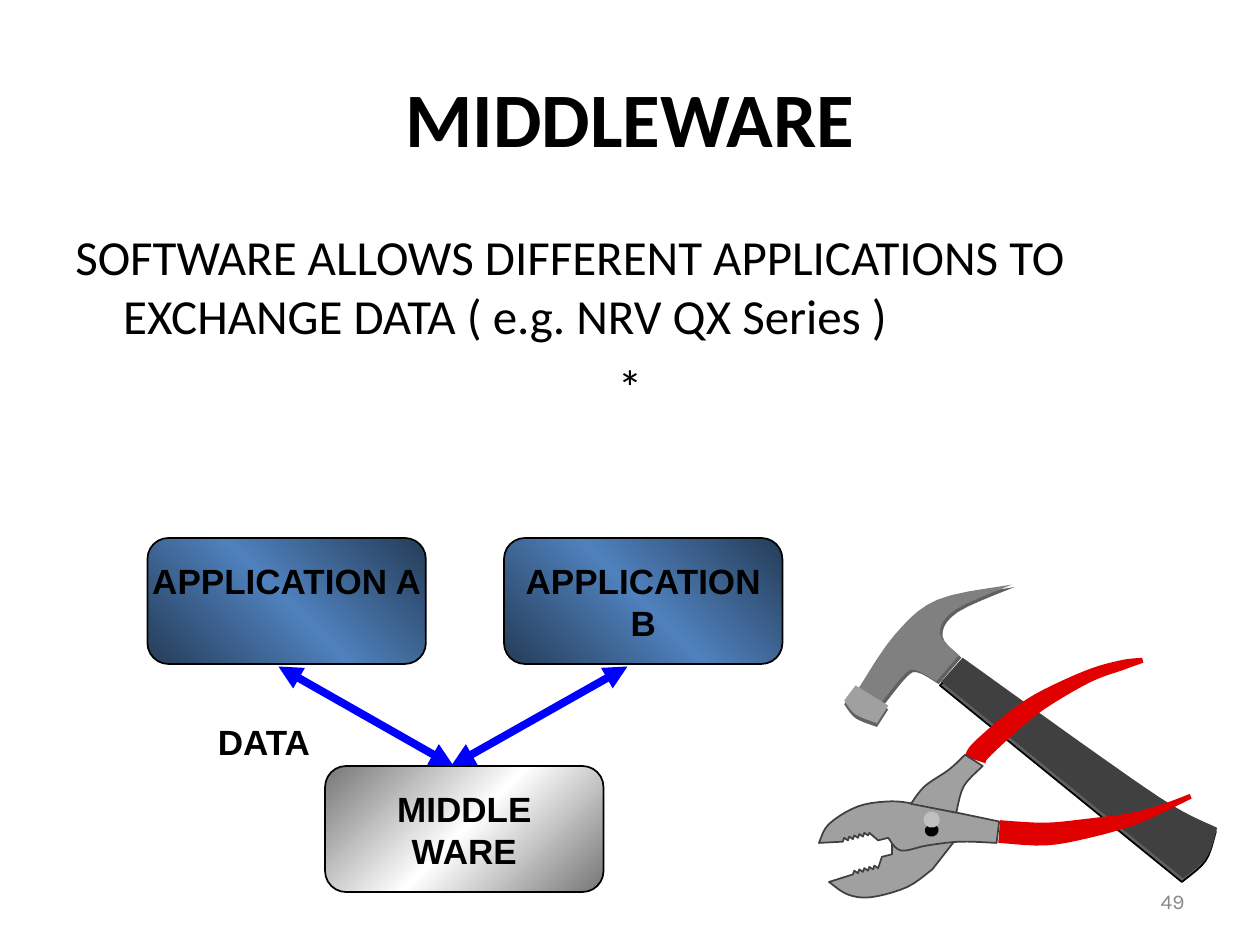
from itertools import chain
from math import hypot

from lxml.etree import SubElement
from pptx import Presentation
from pptx.dml.color import RGBColor
from pptx.enum.shapes import MSO_CONNECTOR, MSO_SHAPE
from pptx.enum.text import MSO_ANCHOR, PP_ALIGN
from pptx.oxml import parse_xml
from pptx.oxml.ns import nsdecls, qn
from pptx.util import Inches, Pt

COLORS = {
    "black": "000000", "navy": "253C57", "blue": "4F81BD", "arrow": "0000FF",
    "gray": "767676", "white": "FFFFFF", "number": "898989", "shade": "606060",
    "dark": "404040", "steel": "808080", "light": "A0A0A0", "glint": "C0C0C0",
    "grip": "E00000",
}

# Content
TITLE = "MIDDLEWARE"
BODY = [
    ("SOFTWARE ALLOWS DIFFERENT APPLICATIONS TO EXCHANGE DATA ( e.g. NRV QX Series )",
     PP_ALIGN.LEFT),
    ("*", PP_ALIGN.CENTER),
]
PAGE_NUMBER = "49"
BOX_SIZE = (2.21, 1)
# label, left, top, label width, edge colour, middle colour, gradient angle
BOXES = [
    ("APPLICATION A", 1.17, 4.27, 2.35, "navy", "blue", 315),
    ("APPLICATION B", 4, 4.27, 2.33, "navy", "blue", 315),
    ("MIDDLE WARE", 2.58, 6.08, 1.88, "gray", "white", 45),
]
ARROWS = [((2.21, 5.29), (3.6, 6.08)), ((4.98, 5.29), (3.58, 6.08))]


# Outline rules: an outline is a list of sides, joined by straight lines.
# Each side is a smooth curve through its points; a single point is a corner.
def curve(points, steps=5):
    """Catmull-Rom curve through points with any number of coordinates."""
    if len(points) == 1:
        return list(points)
    padded = [points[0], *points, points[-1]]
    smooth = []
    for quad in zip(padded, padded[1:], padded[2:], padded[3:]):
        for t in (step / steps for step in range(steps)):
            smooth.append(tuple(
                b + t * (c - a) / 2 + t**2 * (2 * a - 5 * b + 4 * c - d) / 2
                + t**3 * (3 * b - a - 3 * c + d) / 2 for a, b, c, d in zip(*quad)))
    return smooth + [points[-1]]


def teeth(x, y, count=6):
    """Saw edge: each tooth tip is followed by a notch."""
    tips = [(x - 0.04 * i, y + 0.01 * i) for i in range(count)]
    notches = [(tip_x - 0.03, tip_y - 0.02) for tip_x, tip_y in tips[:-1]]
    points = chain.from_iterable(zip(tips, notches))
    return [[point] for point in (*points, tips[-1])]


def tapered(spine):
    """Band around a curved spine of (x, y, width) points."""
    smooth = curve(spine)
    left, right = [], []
    for before, (x, y, width), after in zip(
            [smooth[0], *smooth], smooth, [*smooth[1:], smooth[-1]]):
        dx, dy = after[0] - before[0], after[1] - before[1]
        reach = width / 2 / hypot(dx, dy)
        left.append((x + dy * reach, y - dx * reach))
        right.append((x - dy * reach, y + dx * reach))
    return [[point] for point in left + right[::-1]]


# Hammer and pliers
HAMMER = {
    "handle": [[(7.47, 5.41)],
               [(7.64, 5.22), (8.7, 5.98), (9.3, 6.39), (9.66, 6.57)],
               [(9.66, 6.57), (9.58, 6.8), (9.39, 6.97)]],
    "claw": [[(6.81, 5.47)],
             [(7, 5.57), (7.18, 5.35), (7.27, 5.32), (7.43, 5.41)],
             [(7.61, 5.2), (7.46, 5.03), (7.58, 4.84), (8.03, 4.64)],
             [(8.03, 4.64), (7.44, 4.76), (7.1, 5.04), (6.81, 5.47)]],
    "face": [[(6.79, 5.44)], [(7.05, 5.6)],
             [(6.96, 5.74), (6.79, 5.67), (6.7, 5.56)]],
}
# fill, shadow offset, shadow edge
HAMMER_LOOK = {"handle": ("dark", (-0.01, 0.03), "black"),
               "claw": ("steel", (0.02, 0.02), None),
               "face": ("light", (0, 0.03), None)}
PLIERS = {
    "lower jaw": [[(6.58, 7), (6.73, 7.1), (6.92, 7.12), (7.2, 7.04), (7.4, 6.9)],
                  [(7.72, 6.49)], [(7.38, 6.42)], [(7.08, 6.7)], [(7.08, 6.78)],
                  [(7, 6.8)], *teeth(6.97, 6.89)],
    "upper jaw": [[(6.5, 6.69), (6.58, 6.54), (6.81, 6.4), (7.07, 6.36), (7.26, 6.38)],
                  [(7.93, 6.52)],
                  [(7.91, 6.69), (7.62, 6.68), (7.36, 6.71), (7.15, 6.75), (7.05, 6.65)],
                  [(6.97, 6.67)], [(6.9, 6.61)], *teeth(6.89, 6.63)],
    "upper grip": tapered([(7.74, 6.03, 0.17), (7.78, 5.96, 0.17), (8, 5.76, 0.16),
                           (8.25, 5.57, 0.14), (8.63, 5.37, 0.1), (8.9, 5.28, 0.08),
                           (9.07, 5.24, 0.04)]),
    "lower grip": tapered([(7.93, 6.6, 0.18), (8.3, 6.62, 0.18), (8.66, 6.57, 0.15),
                           (8.99, 6.5, 0.1), (9.24, 6.41, 0.06), (9.45, 6.32, 0.04)]),
    "neck": [[(7.8, 6.08), (7.65, 6.24), (7.59, 6.45)],
             [(7.23, 6.38), (7.34, 6.24), (7.53, 6.11), (7.66, 5.99)]],
}
RIVET = [((7.34, 6.54, 0.11, 0.1), "black"), ((7.33, 6.44, 0.13, 0.13), "glint")]


def rgb(name):
    return RGBColor.from_string(COLORS[name])


def write(frame, paragraphs, font="Arial", size=20, color="black", bold=False,
          anchor=MSO_ANCHOR.TOP, hanging=0, gap=0):
    """Fill a text frame with (text, alignment) pairs."""
    frame.word_wrap = True
    frame.vertical_anchor = anchor
    for index, (text, alignment) in enumerate(paragraphs):
        paragraph = frame.add_paragraph() if index else frame.paragraphs[0]
        paragraph.text = text
        paragraph.alignment = alignment
        if index:
            paragraph.space_before = Pt(gap)
        if hanging:
            properties = paragraph._p.get_or_add_pPr()
            properties.set("marL", str(Inches(hanging)))
            properties.set("indent", str(-Inches(hanging)))
        paragraph.font.name = font
        paragraph.font.size = Pt(size)
        paragraph.font.bold = bold
        paragraph.font.color.rgb = rgb(color)


def add_label(slide, area, paragraphs, **style):
    label = slide.shapes.add_textbox(*map(Inches, area))
    write(label.text_frame, paragraphs, **style)


def paint(shape, fill=None, edge=None):
    shape.shadow.inherit = False
    if fill:
        shape.fill.solid()
        shape.fill.fore_color.rgb = rgb(fill)
    if edge:
        shape.line.color.rgb = rgb(edge)
        shape.line.width = Pt(1)
    else:
        shape.line.fill.background()


def add_outline(slide, sides, fill, edge=None, offset=(0, 0)):
    points = [(Inches(x + offset[0]), Inches(y + offset[1]))
              for side in sides for x, y in curve(side)]
    builder = slide.shapes.build_freeform(*points[0])
    builder.add_line_segments(points[1:], close=True)
    paint(builder.convert_to_shape(), fill, edge)


def add_tools(slide):
    for part, sides in HAMMER.items():
        fill, offset, shadow_edge = HAMMER_LOOK[part]
        add_outline(slide, sides, "shade", shadow_edge, offset)
        add_outline(slide, sides, fill)
    for part, sides in PLIERS.items():
        look = ("grip", None) if part.endswith("grip") else ("light", "dark")
        add_outline(slide, sides, *look)
    for area, fill in RIVET:
        dot = slide.shapes.add_shape(MSO_SHAPE.OVAL, *map(Inches, area))
        dot.rotation = 345
        paint(dot, fill)


def add_box(slide, label, left, top, label_width, outer, middle, angle):
    width, height = BOX_SIZE
    box = slide.shapes.add_shape(MSO_SHAPE.ROUNDED_RECTANGLE,
                                 *map(Inches, (left, top, width, height)))
    paint(box, edge="black")
    stops = "".join(f'<a:gs pos="{pos}"><a:srgbClr val="{COLORS[color]}"/></a:gs>'
                    for pos, color in ((0, outer), (50000, middle), (100000, outer)))
    box._element.spPr.find(qn("a:prstGeom")).addnext(parse_xml(
        f'<a:gradFill {nsdecls("a")} rotWithShape="1"><a:gsLst>{stops}</a:gsLst>'
        f'<a:lin ang="{angle * 60000}" scaled="0"/></a:gradFill>'))
    add_label(slide, (left + (width - label_width) / 2, top + 0.12, label_width, 0.77),
              [(label, PP_ALIGN.CENTER)], bold=True)


def add_arrow(slide, start, end):
    arrow = slide.shapes.add_connector(MSO_CONNECTOR.STRAIGHT, *map(Inches, start + end))
    arrow.line.color.rgb = rgb("arrow")
    arrow.line.width = Pt(4.5)
    for tip in ("a:headEnd", "a:tailEnd"):
        SubElement(arrow.line._get_or_add_ln(), qn(tip), type="triangle")
    SubElement(arrow._element.spPr, qn("a:effectLst"))


def main():
    deck = Presentation()
    deck.slide_width, deck.slide_height = Inches(10), Inches(7.5)
    slide = deck.slides.add_slide(deck.slide_layouts[5])
    add_tools(slide)
    # Title, body and page number
    title = slide.shapes.title
    title.left, title.top, title.width, title.height = map(Inches, (0.5, 0.3, 9, 1.25))
    write(title.text_frame, [(TITLE, PP_ALIGN.CENTER)], font="Calibri", size=44,
          bold=True, anchor=MSO_ANCHOR.MIDDLE)
    add_label(slide, (0.5, 1.75, 9, 4.95), BODY, font="Calibri", size=28,
              hanging=0.38, gap=7)
    add_label(slide, (7.17, 6.95, 2.33, 0.4), [(PAGE_NUMBER, PP_ALIGN.RIGHT)],
              font="Karla", size=12, color="number", anchor=MSO_ANCHOR.MIDDLE)
    # Data flow diagram
    for box in BOXES:
        add_box(slide, *box)
    for start, end in ARROWS:
        add_arrow(slide, start, end)
    add_label(slide, (1.63, 5.67, 1.15, 0.44), [("DATA", PP_ALIGN.LEFT)], bold=True)
    deck.save("out.pptx")


if __name__ == "__main__":
    main()
